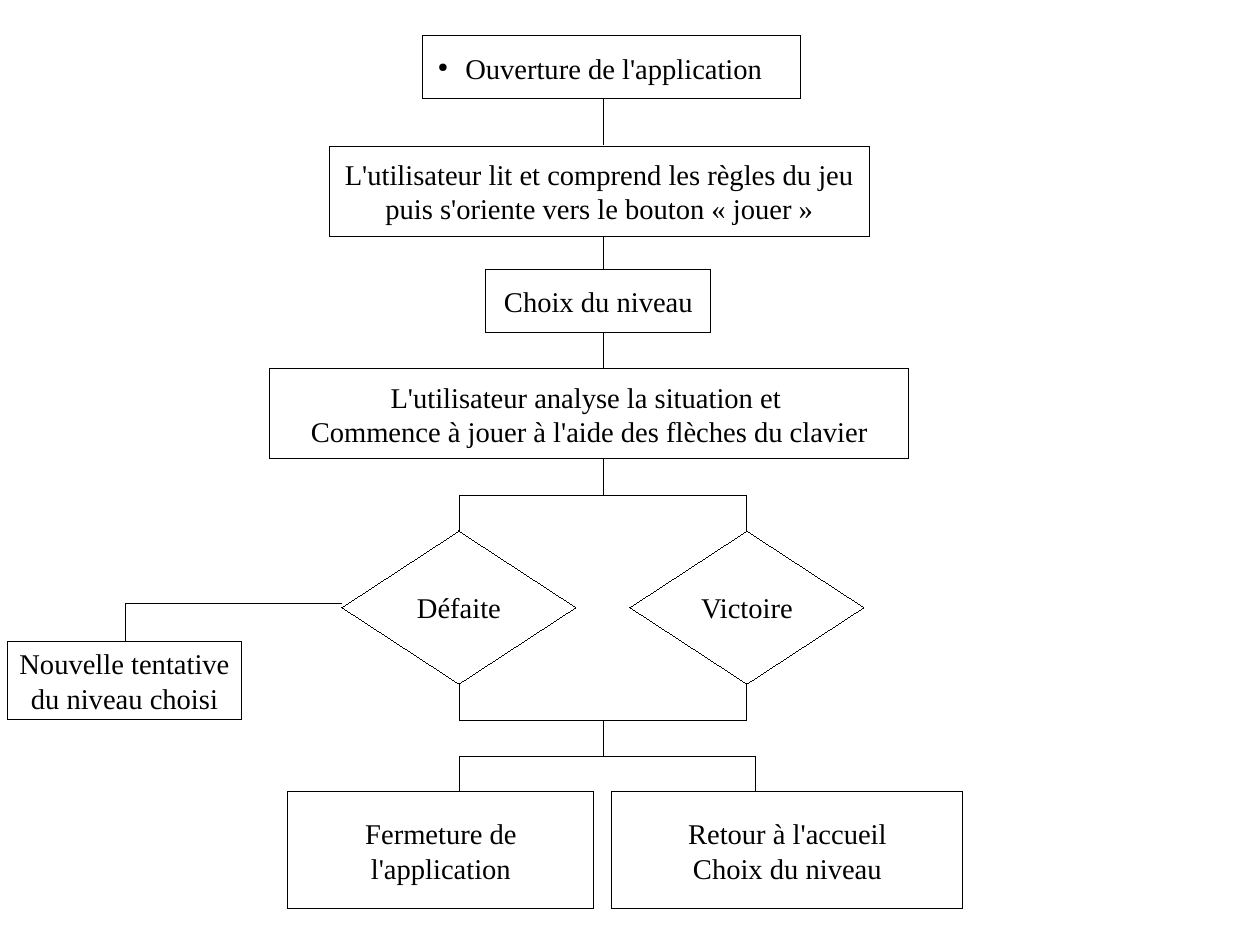
from collections import namedtuple
from lxml.etree import SubElement
from pptx import Presentation
from pptx.dml.color import RGBColor
from pptx.enum.shapes import MSO_CONNECTOR, MSO_SHAPE
from pptx.enum.text import MSO_ANCHOR, MSO_AUTO_SIZE, PP_ALIGN
from pptx.oxml.ns import qn
from pptx.util import Cm, Emu, Inches, Pt

Theme = namedtuple("Theme", "ink paper font size hairline")
theme = Theme(RGBColor(0, 0, 0), RGBColor(255, 255, 255),
              "Times New Roman", Pt(18), Emu(1))

presentation = Presentation()
presentation.slide_width = Cm(28)
presentation.slide_height = Cm(21)
slide = presentation.slides.add_slide(presentation.slide_layouts[6])

# Square grid: 35 columns across, rows of the same size
CELL = presentation.slide_width / 35


def grid(*cells):
    return [round(cell * CELL) for cell in cells]


def write(frame, lines, alignment):
    for index, line in enumerate(lines):
        paragraph = frame.add_paragraph() if index else frame.paragraphs[0]
        paragraph.alignment = alignment
        run = paragraph.add_run()
        run.text = line
        run.font.name = theme.font
        run.font.size = theme.size
        run.font.color.rgb = theme.ink


# Columns of the vertical branches
MIDDLE, LEFT, RIGHT, RETRY, HOME = 16.75, 12.75, 20.75, 3.5, 21

# Links: start column, start row, end column, end row
links = [
    # Main trunk
    (MIDDLE, 2.75, MIDDLE, 4),
    (MIDDLE, 6.56, MIDDLE, 7.5),
    (MIDDLE, 9.25, MIDDLE, 10.25),
    (MIDDLE, 12.75, MIDDLE, 13.75),
    # Split towards the two outcomes
    (LEFT, 13.75, RIGHT, 13.75),
    (LEFT, 13.75, LEFT, 14.75),
    (RIGHT, 13.75, RIGHT, 14.75),
    # Join below the outcomes
    (LEFT, 19, LEFT, 20),
    (RIGHT, 19, RIGHT, 20),
    (LEFT, 20, RIGHT, 20),
    (MIDDLE, 20, MIDDLE, 21),
    # Split towards the two endings
    (LEFT, 21, HOME, 21),
    (LEFT, 22, LEFT, 21),
    (HOME, 21, HOME, 22),
    # New attempt after a defeat
    (9.5, 16.75, RETRY, 16.75),
    (RETRY, 16.75, RETRY, 17.83),
]
for link in links:
    connector = slide.shapes.add_connector(MSO_CONNECTOR.STRAIGHT, *grid(*link))
    connector.line.color.rgb = theme.ink
    connector.line.width = theme.hairline
    SubElement(connector._element.spPr, qn("a:effectLst"))

# Steps: shape, (column, row, width, height), lines of text
BOX, CHOICE = MSO_SHAPE.RECTANGLE, MSO_SHAPE.DIAMOND
steps = [
    (BOX, (11.75, 1, 10.5, 1.75), []),
    (BOX, (9.15, 4.06, 15, 2.5),
     ["L'utilisateur lit et comprend les règles du jeu",
      "puis s'oriente vers le bouton «\u00a0jouer\u00a0»"]),
    (BOX, (13.5, 7.5, 6.25, 1.75), ["Choix du niveau"]),
    (BOX, (7.5, 10.25, 17.75, 2.5),
     ["L'utilisateur analyse la situation et ",
      "Commence à jouer à l'aide des flèches du clavier"]),
    (CHOICE, (9.5, 14.75, 6.5, 4.25), ["Défaite"]),
    (CHOICE, (17.5, 14.75, 6.5, 4.25), ["Victoire"]),
    (BOX, (8, 22, 8.5, 3.25), ["Fermeture de l'application"]),
    (BOX, (17, 22, 9.75, 3.25), ["Retour à l'accueil", "Choix du niveau"]),
    (BOX, (0.22, 17.83, 6.48, 2.15), ["Nouvelle tentative ", "du niveau choisi"]),
]
for kind, place, lines in steps:
    shape = slide.shapes.add_shape(kind, *grid(*place))
    shape.shadow.inherit = False
    shape.fill.solid()
    shape.fill.fore_color.rgb = theme.paper
    shape.line.color.rgb = theme.ink
    shape.line.width = theme.hairline
    shape.text_frame.word_wrap = kind == BOX
    shape.text_frame.vertical_anchor = MSO_ANCHOR.MIDDLE
    write(shape.text_frame, lines, PP_ALIGN.CENTER)

# Bulleted opening step
opening = slide.shapes.add_textbox(*grid(11.85, 1.27, 9.88, 1.2))
opening.text_frame.word_wrap = False
opening.text_frame.auto_size = MSO_AUTO_SIZE.SHAPE_TO_FIT_TEXT
write(opening.text_frame, ["Ouverture de l'application "], PP_ALIGN.LEFT)
properties = opening.text_frame.paragraphs[0]._p.get_or_add_pPr()
properties.set("marL", str(Inches(0.24)))
properties.set("indent", str(-Inches(0.24)))
color = SubElement(properties, qn("a:buClr"))
SubElement(color, qn("a:srgbClr"), val=str(theme.ink))
SubElement(properties, qn("a:buSzPct"), val="45000")
SubElement(properties, qn("a:buChar"), char="●")

presentation.save("out.pptx")
